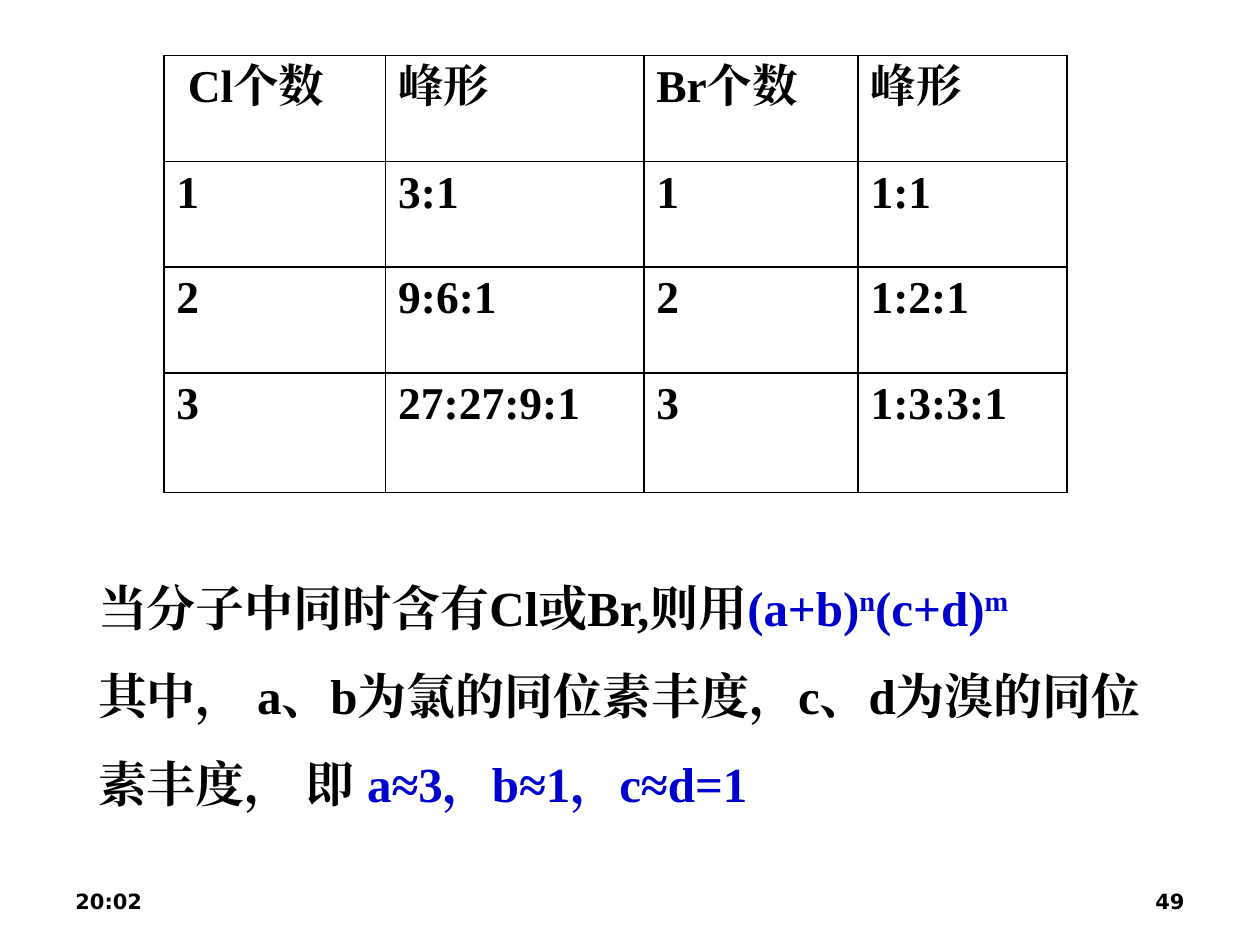
from dataclasses import dataclass

from lxml import etree
from pptx import Presentation
from pptx import util as u
from pptx.dml.color import RGBColor
from pptx.enum import text
from pptx.oxml import ns


@dataclass(frozen=True)
class Theme:
    ink: str = "000000"
    formula: str = "0000CC"
    body_font: str = "Times New Roman"
    footer_font: str = "DejaVu Sans"
    footer_size: int = 12
    table_size: int = 26
    body_size: int = 28
    border_width: int = 1


@dataclass(frozen=True)
class Run:
    text: str
    color: str
    superscript: bool = False


@dataclass(frozen=True)
class Footer:
    text: str
    left: float
    align: text.PP_ALIGN


T = Theme()

COLUMNS = (1.76, 2.05, 1.7, 1.66)
ROWS = (0.84, 0.84, 0.84, 0.95)
PEAKS = (
    (" Cl个数", "峰形", "Br个数", "峰形"),
    ("1", "3:1", "1", "1:1"),
    ("2", "9:6:1", "2", "1:2:1"),
    ("3", "27:27:9:1", "3", "1:3:3:1"),
)
EXPLANATION = (
    (
        Run("当分子中同时含有Cl或Br,则用", T.ink),
        Run("(a+b)", T.formula),
        Run("n", T.formula, True),
        Run("(c+d)", T.formula),
        Run("m", T.formula, True),
    ),
    (
        Run("其中， a、b为氯的同位素丰度，c、d为溴的同位素丰度， 即 ", T.ink),
        Run("a≈3，b≈1，c≈d=1", T.formula),
    ),
)
FOOTERS = (
    Footer("20:02", 0.5, text.PP_ALIGN.LEFT),
    Footer("49", 7.17, text.PP_ALIGN.RIGHT),
)


def add_run(p, run: Run, size: int, font: str = T.body_font) -> None:
    r = p.add_run()
    r.text = run.text
    r.font.size = u.Pt(size)
    r.font.bold = True
    r.font.name = font
    r.font.color.rgb = RGBColor.from_string(run.color)
    rPr = r._r.get_or_add_rPr()
    if run.superscript:
        rPr.set("baseline", "30000")
    etree.SubElement(rPr, ns.qn("a:ea")).set("typeface", font)


def add_box(s, left: float, top: float, width: float, height: float):
    sp = s.shapes.add_textbox(u.Inches(left), u.Inches(top), u.Inches(width), u.Inches(height))
    sp.text_frame.word_wrap = True
    return sp.text_frame


def add_borders(cell) -> None:
    tcPr = cell._tc.get_or_add_tcPr()
    for i, side in enumerate(("a:lnL", "a:lnR", "a:lnT", "a:lnB")):
        ln = etree.Element(ns.qn(side), w=str(u.Pt(T.border_width)))
        fill = etree.SubElement(ln, ns.qn("a:solidFill"))
        etree.SubElement(fill, ns.qn("a:srgbClr")).set("val", T.ink)
        tcPr.insert(i, ln)


def add_peak_table(s) -> None:
    table = s.shapes.add_table(
        len(ROWS), len(COLUMNS), u.Inches(1.3), u.Inches(0.44),
        u.Inches(sum(COLUMNS)), u.Inches(sum(ROWS)),
    ).table
    table.first_row = table.horz_banding = False
    for column, width in zip(table.columns, COLUMNS):
        column.width = u.Inches(width)
    for row, height, values in zip(table.rows, ROWS, PEAKS):
        row.height = u.Inches(height)
        for cell, value in zip(row.cells, values):
            cell.fill.background()
            add_borders(cell)
            add_run(cell.text_frame.paragraphs[0], Run(value, T.ink), T.table_size)


def add_explanation(s) -> None:
    tf = add_box(s, 0.68, 4.3, 8.74, 2.22)
    tf.auto_size = text.MSO_AUTO_SIZE.SHAPE_TO_FIT_TEXT
    for i, runs in enumerate(EXPLANATION):
        p = tf.add_paragraph() if i else tf.paragraphs[0]
        p.line_spacing = 1.5
        for run in runs:
            add_run(p, run, T.body_size)


def add_footer(s, footer: Footer) -> None:
    tf = add_box(s, footer.left, 6.95, 2.33, 0.4)
    tf.vertical_anchor = text.MSO_ANCHOR.MIDDLE
    p = tf.paragraphs[0]
    p.alignment = footer.align
    add_run(p, Run(footer.text, T.ink), T.footer_size, T.footer_font)


def main() -> None:
    """Build the slide on chlorine and bromine isotope peak patterns."""
    prs = Presentation()
    prs.slide_width, prs.slide_height = u.Inches(10), u.Inches(7.5)
    s = prs.slides.add_slide(prs.slide_layouts[6])
    for footer in FOOTERS:
        add_footer(s, footer)
    add_peak_table(s)
    add_explanation(s)
    prs.save("out.pptx")


if __name__ == "__main__":
    main()
